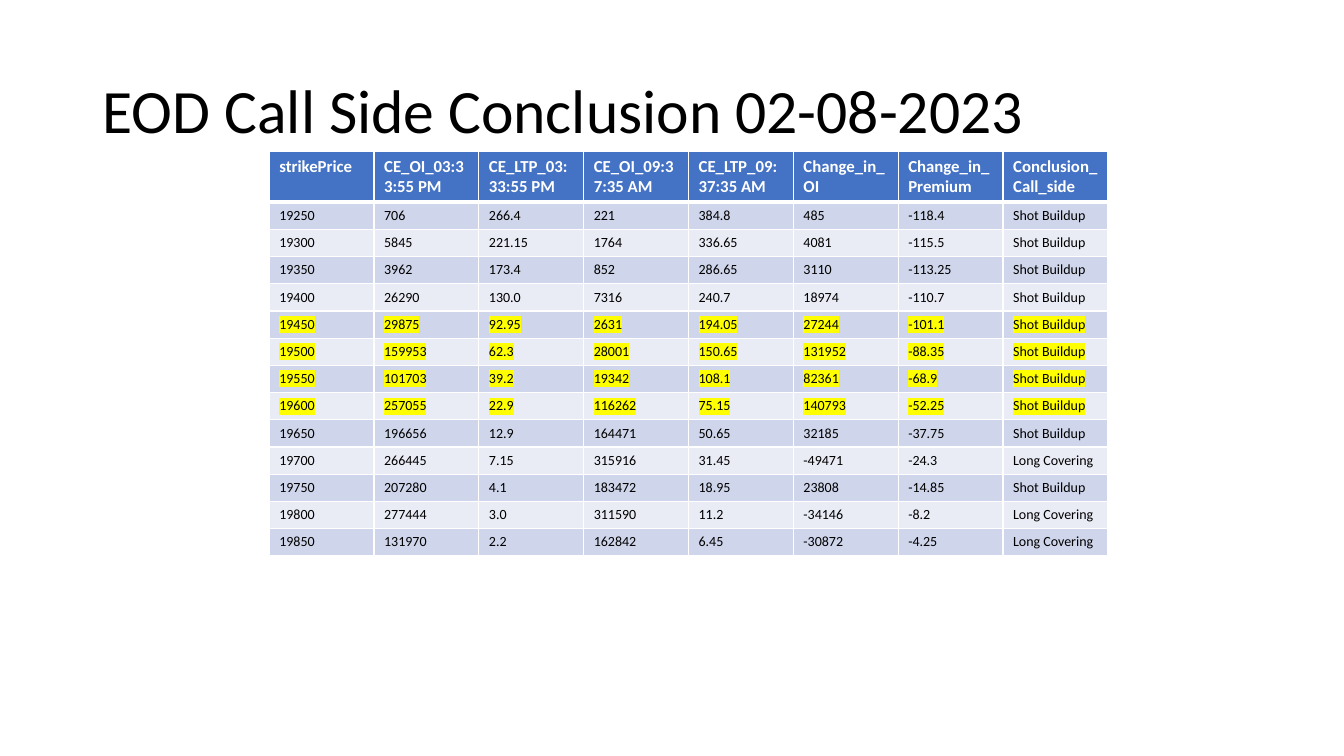
from typing import NamedTuple

from lxml import etree
from pptx import Presentation
from pptx.dml.color import RGBColor
from pptx.enum.text import MSO_ANCHOR, PP_ALIGN
from pptx.oxml.ns import qn
from pptx.util import Pt

PX = 9144  # 100 px to the inch
FONT = "Calibri"
LEFT, MIDDLE = PP_ALIGN.LEFT, MSO_ANCHOR.MIDDLE
BLACK = RGBColor(0x00, 0x00, 0x00)
WHITE = RGBColor(0xFF, 0xFF, 0xFF)
HEADER_BLUE = RGBColor(0x44, 0x72, 0xC4)
BAND_DARK = RGBColor(0xCF, 0xD5, 0xEA)
BAND_LIGHT = RGBColor(0xE9, 0xEB, 0xF5)
YELLOW = RGBColor(0xFF, 0xFF, 0x00)

SHORT, LONG = "Shot Buildup", "Long Covering"
COL_W, HEADER_H, ROW_H = 104, 50, 27


class Strike(NamedTuple):
    price: str
    close_oi: str
    close_ltp: str
    open_oi: str
    open_ltp: str
    oi_change: str
    premium_change: str
    conclusion: str


class CellStyle(NamedTuple):
    size: int
    color: RGBColor
    bold: bool
    fill: RGBColor
    bottom_pt: int = 1
    highlight: RGBColor | None = None


HEADINGS = Strike("strikePrice", "CE_OI_03:33:55 PM", "CE_LTP_03:33:55 PM", "CE_OI_09:37:35 AM",
                  "CE_LTP_09:37:35 AM", "Change_in_OI", "Change_in_Premium", "Conclusion_Call_side")
STRIKES = [
    Strike("19250", "706", "266.4", "221", "384.8", "485", "-118.4", SHORT),
    Strike("19300", "5845", "221.15", "1764", "336.65", "4081", "-115.5", SHORT),
    Strike("19350", "3962", "173.4", "852", "286.65", "3110", "-113.25", SHORT),
    Strike("19400", "26290", "130.0", "7316", "240.7", "18974", "-110.7", SHORT),
    Strike("19450", "29875", "92.95", "2631", "194.05", "27244", "-101.1", SHORT),
    Strike("19500", "159953", "62.3", "28001", "150.65", "131952", "-88.35", SHORT),
    Strike("19550", "101703", "39.2", "19342", "108.1", "82361", "-68.9", SHORT),
    Strike("19600", "257055", "22.9", "116262", "75.15", "140793", "-52.25", SHORT),
    Strike("19650", "196656", "12.9", "164471", "50.65", "32185", "-37.75", SHORT),
    Strike("19700", "266445", "7.15", "315916", "31.45", "-49471", "-24.3", LONG),
    Strike("19750", "207280", "4.1", "183472", "18.95", "23808", "-14.85", SHORT),
    Strike("19800", "277444", "3.0", "311590", "11.2", "-34146", "-8.2", LONG),
    Strike("19850", "131970", "2.2", "162842", "6.45", "-30872", "-4.25", LONG),
]
HIGHLIGHTED = {"19450", "19500", "19550", "19600"}


def add_color(parent, tag: str, color: RGBColor) -> None:
    holder = etree.SubElement(parent, qn(tag))
    etree.SubElement(holder, qn("a:srgbClr"), val=str(color))


def set_borders(cell, bottom_pt: int) -> None:
    tc_pr = cell._tc.get_or_add_tcPr()
    for side, width in (("L", 1), ("R", 1), ("T", 1), ("B", bottom_pt)):
        line = etree.SubElement(tc_pr, qn(f"a:ln{side}"), w=str(Pt(width)))
        add_color(line, "a:solidFill", WHITE)


def fill_cell(cell, text: str, style: CellStyle) -> None:
    set_borders(cell, style.bottom_pt)
    cell.fill.solid()
    cell.fill.fore_color.rgb = style.fill
    cell.text_frame.text = text
    r = cell.text_frame.paragraphs[0].runs[0]
    r.font.size = Pt(style.size)
    r.font.bold = style.bold
    r.font.color.rgb = style.color
    if style.highlight is not None:
        add_color(r._r.get_or_add_rPr(), "a:highlight", style.highlight)
    r.font.name = FONT


def add_title(s, text: str) -> None:
    sp = s.shapes.title
    sp.left, sp.top, sp.width, sp.height = (v * PX for v in (92, 40, 1150, 145))
    tf = sp.text_frame
    tf.text = text
    tf.word_wrap = True
    tf.vertical_anchor = MIDDLE
    p = tf.paragraphs[0]
    p.alignment = LEFT
    p.line_spacing = 0.9
    font = p.runs[0].font
    font.name, font.size, font.color.rgb = FONT, Pt(44), BLACK


def add_strike_table(s) -> None:
    n_rows, n_cols = len(STRIKES) + 1, len(HEADINGS)
    height = HEADER_H + ROW_H * len(STRIKES)
    table = s.shapes.add_table(n_rows, n_cols, 267 * PX, 150 * PX,
                               n_cols * COL_W * PX, height * PX).table
    for col in table.columns:
        col.width = COL_W * PX
    for i, strike in enumerate([HEADINGS, *STRIKES]):
        table.rows[i].height = (ROW_H if i else HEADER_H) * PX
        if i == 0:
            style = CellStyle(12, WHITE, True, HEADER_BLUE, bottom_pt=3)
        else:
            band = BAND_DARK if i % 2 else BAND_LIGHT
            mark = YELLOW if strike.price in HIGHLIGHTED else None
            style = CellStyle(10, BLACK, False, band, highlight=mark)
        for j, text in enumerate(strike):
            fill_cell(table.cell(i, j), text, style)


def main() -> None:
    prs = Presentation()
    prs.slide_width, prs.slide_height = 1333 * PX, 750 * PX
    s = prs.slides.add_slide(prs.slide_layouts[5])  # title only
    add_title(s, "EOD Call Side Conclusion 02-08-2023")
    add_strike_table(s)
    prs.save("out.pptx")


if __name__ == "__main__":
    main()
